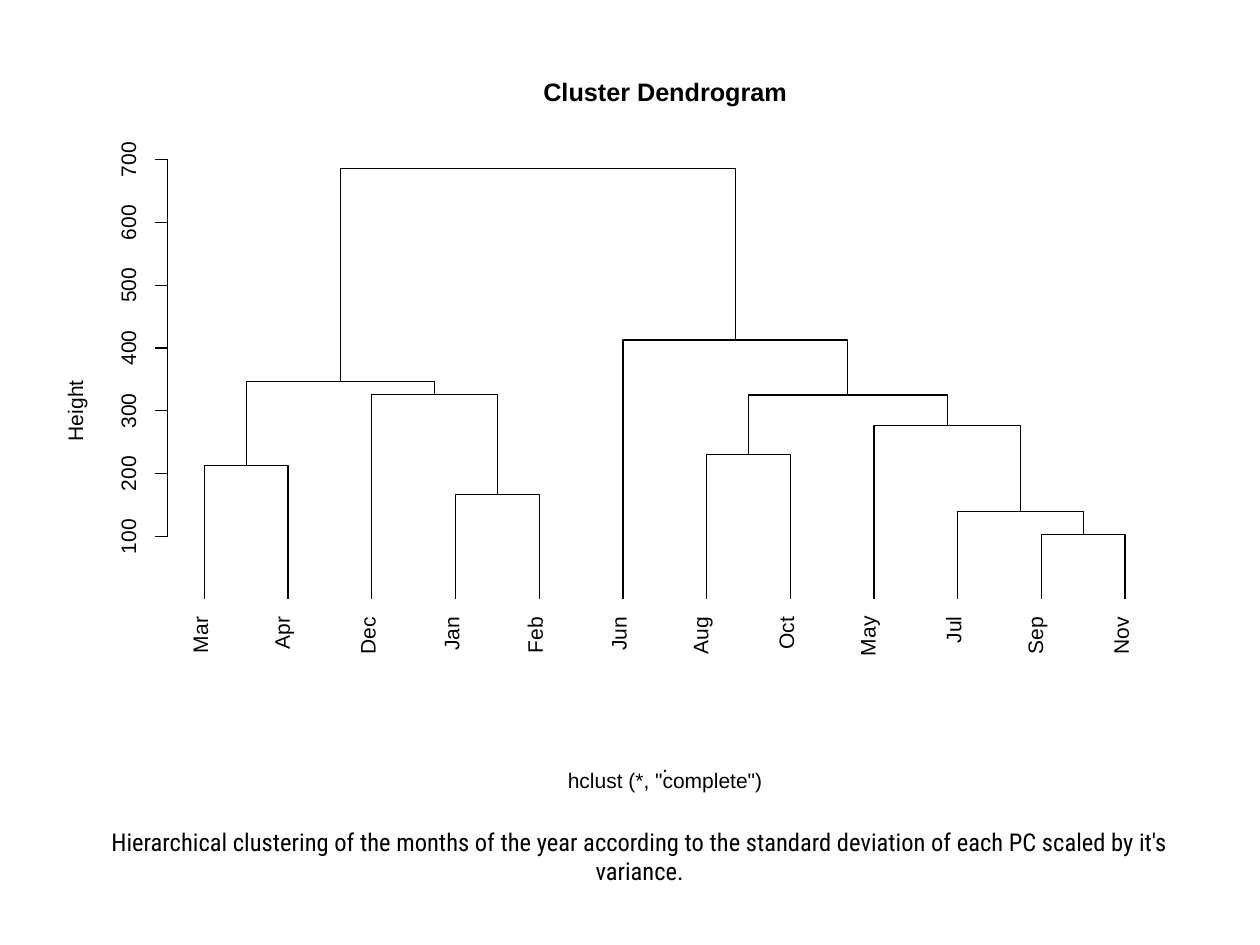
"""Build a slide with a dendrogram of the months and its caption."""
from lxml import etree
from pptx import Presentation
from pptx.dml.color import RGBColor
from pptx.enum.shapes import MSO_CONNECTOR as Connector, MSO_SHAPE as Shape
from pptx.enum.text import MSO_ANCHOR as Anchor, PP_ALIGN as Align
from pptx.oxml.ns import qn
from pptx.util import Cm, Pt

BLACK = RGBColor(0x00, 0x00, 0x00)
WHITE = RGBColor(0xFF, 0xFF, 0xFF)

BASELINE, TOP_TICK_Y, TOP_TICK = 12.08, 3.22, 700
FIRST_LEAF_X, LAST_LEAF_X = 4.12, 22.68
AXIS_X, TICK_LENGTH = 3.38, 0.25
LABEL_TOP, LABEL_SLACK = 12.43, 0.25
CENTER_X = 13.41

MONTH_WIDTHS = {
    "Mar": 0.74, "Apr": 0.66, "Dec": 0.76, "Jan": 0.69, "Feb": 0.74, "Jun": 0.69,
    "Aug": 0.76, "Oct": 0.66, "May": 0.79, "Jul": 0.53, "Sep": 0.76, "Nov": 0.76,
}
MERGES = [
    ("spring", "Mar", "Apr", 213),
    ("midwinter", "Jan", "Feb", 167),
    ("winter", "Dec", "midwinter", 326),
    ("cold", "spring", "winter", 347),
    ("Aug-Oct", "Aug", "Oct", 230),
    ("Sep-Nov", "Sep", "Nov", 103),
    ("Jul-Nov", "Jul", "Sep-Nov", 140),
    ("May-Nov", "May", "Jul-Nov", 277),
    ("late", "Aug-Oct", "May-Nov", 325),
    ("warm", "Jun", "late", 413),
    ("year", "cold", "warm", 686),
]

prs = Presentation()
prs.slide_width, prs.slide_height = Cm(25.4), Cm(19.05)
slide = prs.slides.add_slide(prs.slide_layouts[6])
plot = slide.shapes.add_group_shape().shapes


def height_y(height):
    return BASELINE - (BASELINE - TOP_TICK_Y) * height / TOP_TICK


def add_label(text, center_x, center_y, width, height, rotation=0, size=12, bold=False):
    box_width = width + LABEL_SLACK
    label = plot.add_textbox(Cm(center_x - box_width / 2), Cm(center_y - height / 2),
                             Cm(box_width), Cm(height))
    label.rotation = rotation
    frame = label.text_frame
    frame.margin_left = frame.margin_right = frame.margin_top = frame.margin_bottom = 0
    frame.word_wrap = False
    frame.vertical_anchor = Anchor.MIDDLE
    frame.text = text
    paragraph = frame.paragraphs[0]
    paragraph.alignment = Align.CENTER
    paragraph.line_spacing = Pt(size)
    font = paragraph.runs[0].font
    font.name, font.size, font.bold = "Arial", Pt(size), bold
    font.color.rgb = BLACK


panel = plot.add_shape(Shape.RECTANGLE, Cm(1.3), Cm(0.91), Cm(23.19), Cm(15.19))
panel.shadow.inherit = False
panel.fill.solid()
panel.fill.fore_color.rgb = WHITE
panel.line.color.rgb = WHITE
panel.line.width = Pt(0.75)

nodes = {}
leaf_gap = (LAST_LEAF_X - FIRST_LEAF_X) / (len(MONTH_WIDTHS) - 1)
for index, (month, width) in enumerate(MONTH_WIDTHS.items()):
    leaf_x = FIRST_LEAF_X + index * leaf_gap
    nodes[month] = (leaf_x, BASELINE)
    thickness = 0.38 if set(month) & set("gpy") else 0.3
    add_label(month, leaf_x + 0.1 - thickness / 2, LABEL_TOP + width / 2,
              width, thickness, 270)

for cluster, left, right, height in MERGES:
    (left_x, left_y), (right_x, right_y) = nodes[left], nodes[right]
    merge_y = height_y(height)
    nodes[cluster] = ((left_x + right_x) / 2, merge_y)
    outline = plot.build_freeform(Cm(left_x), Cm(left_y))
    outline.add_line_segments([(Cm(left_x), Cm(merge_y)), (Cm(right_x), Cm(merge_y)),
                               (Cm(right_x), Cm(right_y))], close=False)
    branch = outline.convert_to_shape()
    branch.shadow.inherit = False
    branch.fill.background()
    branch.line.color.rgb = BLACK
    branch.line.width = Pt(0.75)

ticks = range(100, TOP_TICK + 1, 100)
axis_lines = [(AXIS_X, height_y(ticks[0]), AXIS_X, TOP_TICK_Y)]
for tick in ticks:
    tick_y = height_y(tick)
    axis_lines.append((AXIS_X, tick_y, AXIS_X - TICK_LENGTH, tick_y))
    add_label(str(tick), 2.62, tick_y, 0.71, 0.3, 270)

for ends in axis_lines:
    axis_line = plot.add_connector(Connector.STRAIGHT, *[Cm(end) for end in ends])
    axis_line.line.color.rgb = BLACK
    axis_line.line.width = Pt(0.75)
    etree.SubElement(axis_line._element.spPr, qn("a:effectLst"))

add_label("Cluster Dendrogram", CENTER_X, 1.9, 4.9, 0.46, size=14.4, bold=True)
add_label('hclust (*, "complete")', CENTER_X, 15.77, 3.91, 0.41)
add_label(".", CENTER_X, 15.44, 0.13, 0.05)
add_label("Height", 1.55, 8.28, 1.22, 0.41, 270)

caption = slide.shapes.add_textbox(Cm(1.3), Cm(16.54), Cm(23.19), Cm(2.01)).text_frame
caption.word_wrap = True
caption.text = ("Hierarchical clustering of the months of the year according to the "
                "standard deviation of each PC scaled by it's variance.")
caption.paragraphs[0].alignment = Align.CENTER
caption_font = caption.paragraphs[0].runs[0].font
caption_font.name, caption_font.size = "Roboto Condensed", Pt(14)
caption_font.color.rgb = BLACK

prs.save("out.pptx")
